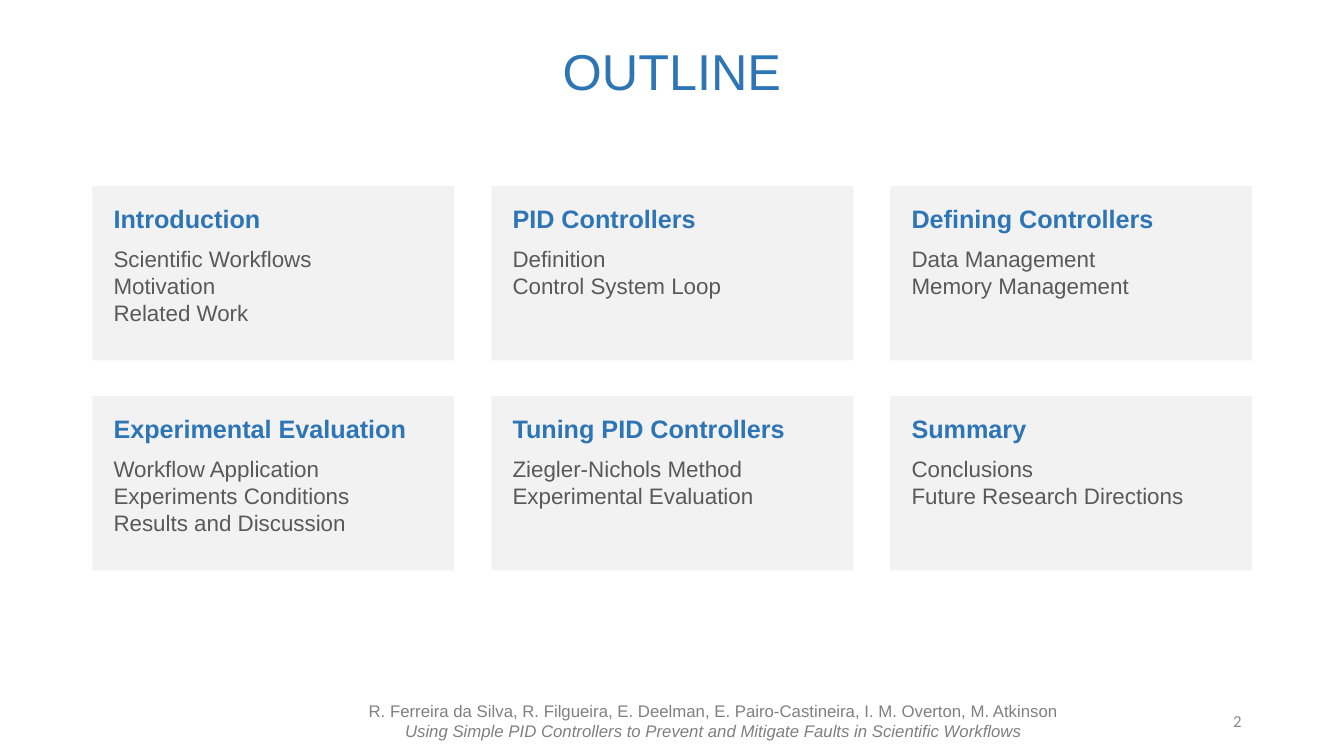
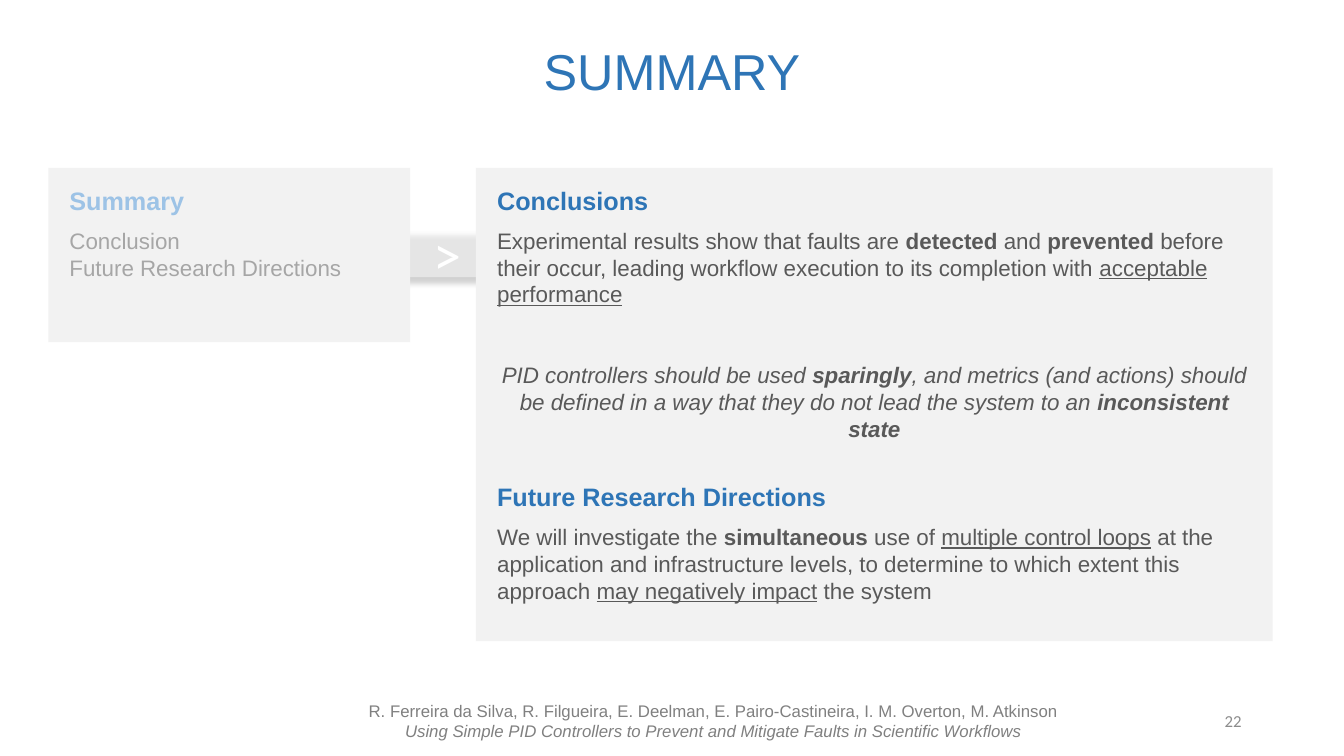
from dataclasses import dataclass

from lxml.etree import SubElement
from pptx import Presentation
from pptx.dml.color import RGBColor as Rgb
from pptx.enum.shapes import MSO_SHAPE as Shape
from pptx.enum.text import MSO_ANCHOR as Anchor, PP_ALIGN as Align
from pptx.oxml.ns import qn
from pptx.util import Pt


@dataclass(frozen=True)
class Theme:
    font: str = "Arial"
    number_font: str = "Calibri"
    accent: str = "2E75B6"
    accent_faded: str = "9DC3E6"
    text: str = "595959"
    text_faded: str = "A6A6A6"
    footer: str = "808080"
    number: str = "8C8C8C"
    panel: str = "F2F2F2"
    white: str = "FFFFFF"
    shadow: str = "000000"
    title_size: int = 36
    heading_size: int = 18
    body_size: int = 16
    small_size: int = 12
    symbol_size: int = 40


CARD_WIDTH, CARD_HEIGHT = 258.5, 124.5
INSET = 8
HEADING_DROP = 8.5
ITEMS_DROP = 38.5

AUTHORS = ("R. Ferreira da Silva, R. Filgueira, E. Deelman, E. Pairo-Castineira, "
           "I. M. Overton, M. Atkinson")
PAPER = "Using Simple PID Controllers to Prevent and Mitigate Faults in Scientific Workflows"

OUTLINE = [
    ("Introduction", ["Scientific Workflows", "Motivation", "Related Work"]),
    ("PID Controllers", ["Definition", "Control System Loop"]),
    ("Defining Controllers", ["Data Management", "Memory Management"]),
    ("Experimental Evaluation",
     ["Workflow Application", "Experiments Conditions", "Results and Discussion"]),
    ("Tuning PID Controllers", ["Ziegler-Nichols Method", "Experimental Evaluation"]),
    ("Summary", ["Conclusions", "Future Research Directions"]),
]

BOLD = {"bold": True}
UNDERLINE = {"underline": True}

RESULTS = [
    ("Experimental results show that faults are ", {}),
    ("detected", BOLD),
    (" and ", {}),
    ("prevented ", BOLD),
    ("before their occur, leading workflow execution to its completion with ", {}),
    ("acceptable performance", UNDERLINE),
]
ADVICE = [
    ("PID controllers should be used ", {}),
    ("sparingly", BOLD),
    (", and metrics (and actions) should be defined in a way that they do not "
     "lead the system to an ", {}),
    ("inconsistent state", BOLD),
]
FUTURE = [
    ("We will investigate the ", {}),
    ("simultaneous ", BOLD),
    ("use of ", {}),
    ("multiple control loops", UNDERLINE),
    (" at the application and infrastructure levels, to determine to which extent "
     "this approach ", {}),
    ("may negatively impact", UNDERLINE),
    (" the system", {}),
]


def write(paragraph, text, *, font, size, color, bold=False, italic=False, underline=False):
    run = paragraph.add_run()
    run.text = text
    run.font.name = font
    run.font.size = Pt(size)
    run.font.color.rgb = Rgb.from_string(color)
    run.font.bold = bold
    run.font.italic = italic
    run.font.underline = underline


class Deck:
    def __init__(self, theme):
        self.theme = theme
        self.show = Presentation()
        self.show.slide_width, self.show.slide_height = Pt(960), Pt(540)
        self.slide = None

    def start(self, title, number):
        theme = self.theme
        self.slide = self.show.slides.add_slide(self.show.slide_layouts[6])
        heading = self.line(title, 66, 1, 828, 104, Anchor.MIDDLE, Align.CENTER,
                            size=theme.title_size, color=theme.accent)
        heading.line_spacing = 0.9
        small = {"size": theme.small_size, "color": theme.footer}
        credit = self.line(AUTHORS, 145.5, 497, 728.5, 36, align=Align.CENTER, **small)
        credit.add_line_break()
        write(credit, PAPER, font=theme.font, italic=True, **small)
        self.line(str(number), 678, 500.5, 216, 28.5, Anchor.MIDDLE, Align.RIGHT,
                  font=theme.number_font, size=theme.small_size, color=theme.number)

    def frame(self, left, top, width, height, anchor=Anchor.TOP):
        frame = self.slide.shapes.add_textbox(Pt(left), Pt(top), Pt(width), Pt(height)).text_frame
        frame.word_wrap = True
        frame.vertical_anchor = anchor
        return frame

    def line(self, text, left, top, width, height, anchor=Anchor.TOP, align=Align.LEFT, **style):
        paragraph = self.frame(left, top, width, height, anchor).paragraphs[0]
        paragraph.alignment = align
        write(paragraph, text, **{"font": self.theme.font, **style})
        return paragraph

    def heading(self, text, left, top, width, color=None):
        self.line(text, left, top, width, 29, size=self.theme.heading_size,
                  color=color or self.theme.accent, bold=True)

    def body(self, passages, left, top, width, height, color=None):
        frame = self.frame(left, top, width, height)
        for index, (runs, gap, align, style) in enumerate(passages):
            paragraph = frame.add_paragraph() if index else frame.paragraphs[0]
            paragraph.space_before = Pt(gap)
            paragraph.alignment = align
            for text, emphasis in runs:
                write(paragraph, text, font=self.theme.font, size=self.theme.body_size,
                      color=color or self.theme.text, **style, **emphasis)

    def panel(self, left, top, width, height, color=None):
        panel = self.slide.shapes.add_shape(
            Shape.RECTANGLE, Pt(left), Pt(top), Pt(width), Pt(height))
        panel.shadow.inherit = False
        panel.fill.solid()
        panel.fill.fore_color.rgb = Rgb.from_string(color or self.theme.panel)
        panel.line.fill.background()
        return panel

    def card(self, title, passages, left, top, width=CARD_WIDTH, height=CARD_HEIGHT,
             title_color=None, text_color=None):
        self.panel(left, top, width, height)
        inner = width - 2 * INSET
        self.heading(title, left + INSET, top + HEADING_DROP, inner, title_color)
        self.body(passages, left + INSET, top + ITEMS_DROP, inner,
                  height - ITEMS_DROP - INSET, text_color)

    def topic(self, title, items, left, top, **colors):
        passages = [([(item, {})], 0, Align.LEFT, {}) for item in items]
        self.card(title, passages, left, top, **colors)

    def link_band(self, symbol):
        theme = self.theme
        band = self.panel(120, 163.5, 432, 34.5, theme.white)
        properties = band.fill._xPr
        tint = properties.find(qn("a:solidFill"))[0]
        SubElement(tint, qn("a:alpha"), val="45000")
        shadow = SubElement(properties.find(qn("a:effectLst")), qn("a:outerShdw"),
                            blurRad=str(Pt(4)), dist=str(Pt(6)), dir="2700000",
                            algn="tl", rotWithShape="0")
        shade = SubElement(shadow, qn("a:srgbClr"), val=theme.shadow)
        SubElement(shade, qn("a:alpha"), val="40000")
        self.line(symbol, 299, 153.5, 40.5, 55.5, align=Align.CENTER,
                  font=theme.number_font, size=theme.symbol_size, color=theme.white)


def build_outline(deck):
    deck.start("OUTLINE", 2)
    for index, (title, items) in enumerate(OUTLINE):
        row, column = divmod(index, 3)
        deck.topic(title, items, 66 + 285 * column, 133 + 150 * row)


def build_summary(deck):
    theme = deck.theme
    deck.start("SUMMARY", 22)
    deck.link_band(">")
    deck.topic("Summary", ["Conclusion", "Future Research Directions"], 34.5, 120,
               title_color=theme.accent_faded, text_color=theme.text_faded)
    findings = [
        (RESULTS, 0, Align.LEFT, {}),
        (ADVICE, 38.5, Align.CENTER, {"italic": True}),
        (FUTURE, 58, Align.LEFT, {}),
    ]
    deck.card("Conclusions", findings, 340, 120, 569, 338)
    deck.heading("Future Research Directions", 340 + INSET, 340.5, 553)


def main():
    deck = Deck(Theme())
    build_outline(deck)
    build_summary(deck)
    deck.show.save("out.pptx")


if __name__ == "__main__":
    main()
